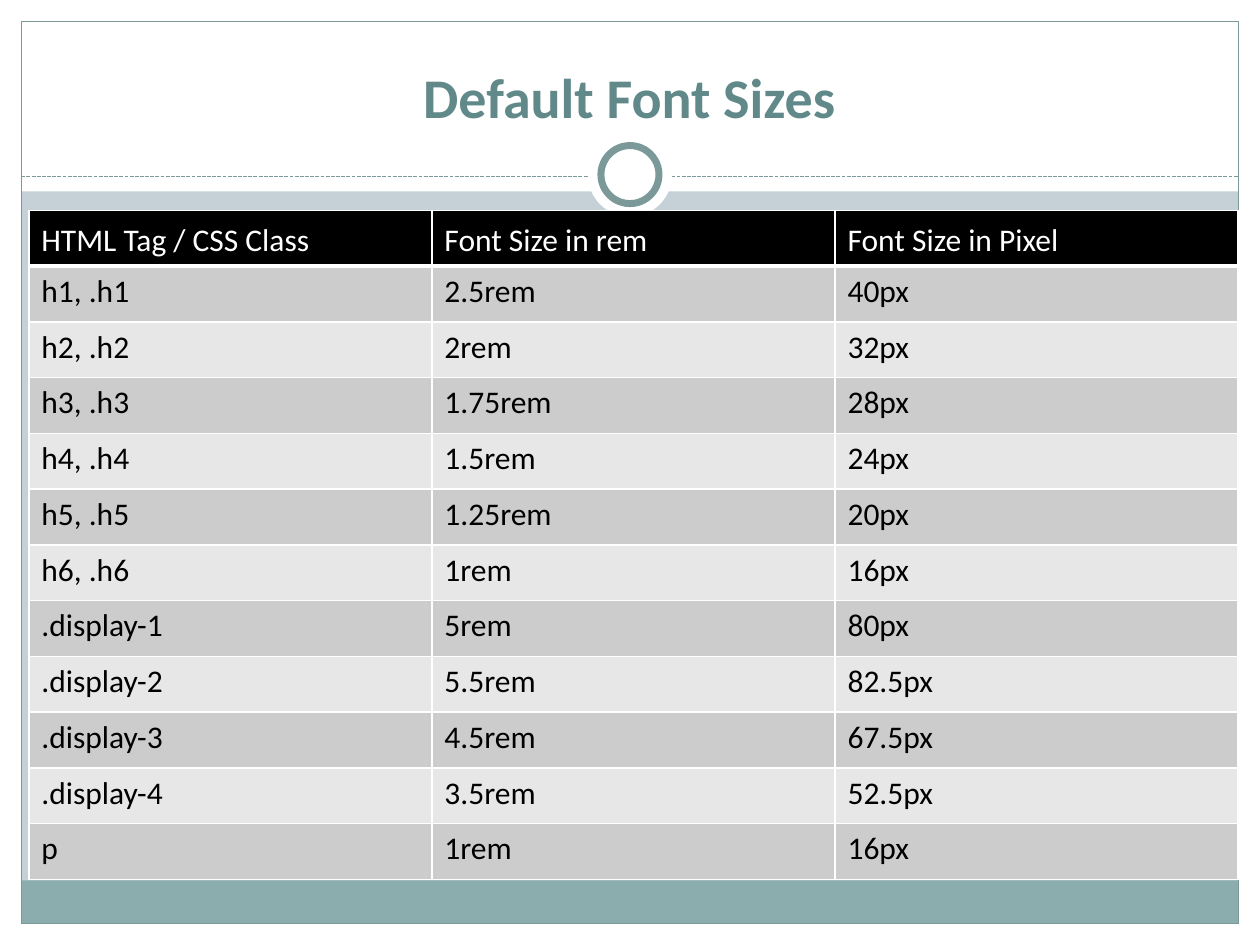
from dataclasses import dataclass

from lxml.etree import SubElement
from pptx import Presentation
from pptx.dml.color import RGBColor
from pptx.enum.dml import MSO_LINE
from pptx.enum.shapes import MSO_CONNECTOR, MSO_SHAPE
from pptx.enum.text import MSO_ANCHOR, PP_ALIGN
from pptx.oxml import parse_xml
from pptx.oxml.ns import nsdecls, qn
from pptx.util import Cm, Pt


@dataclass(frozen=True)
class Theme:
    font: str = "Calibri"
    title_size: int = 32
    cell_size: int = 18
    back: str = "C5D1D7"
    white: str = "FFFFFF"
    black: str = "000000"
    strip: str = "8CADAE"
    line: str = "7C999A"
    title: str = "61898A"
    bands: tuple = ("CCCCCC", "E7E7E7")


THEME = Theme()
WIDTH, HEIGHT = 25.4, 19.05
MARGIN = 0.43

ROWS = [
    ("HTML Tag / CSS Class", "Font Size in rem", "Font Size in Pixel"),
    ("h1, .h1", "2.5rem", "40px"),
    ("h2, .h2", "2rem", "32px"),
    ("h3, .h3", "1.75rem", "28px"),
    ("h4, .h4", "1.5rem", "24px"),
    ("h5, .h5", "1.25rem", "20px"),
    ("h6, .h6", "1rem", "16px"),
    (".display-1", "5rem", "80px"),
    (".display-2", "5.5rem", "82.5px"),
    (".display-3", "4.5rem", "67.5px"),
    (".display-4", "3.5rem", "52.5px"),
    ("p", "1rem", "16px"),
]


def rgb(value):
    return RGBColor.from_string(value)


def set_font(p, size, color, bold=False):
    p.font.name = THEME.font
    p.font.size = Pt(size)
    p.font.bold = bold
    p.font.color.rgb = rgb(color)


def add_shape(slide, kind, box, fill=None, line=None, weight=0.75):
    sp = slide.shapes.add_shape(kind, *map(Cm, box))
    sp.shadow.inherit = False
    if fill:
        sp.fill.solid()
        sp.fill.fore_color.rgb = rgb(fill)
    else:
        sp.fill.background()
    if line:
        sp.line.color.rgb = rgb(line)
        sp.line.width = Pt(weight)
    else:
        sp.line.fill.background()
    return sp


def add_frame(slide, x, y, w, h, header_height, strip_height):
    inner_w, bottom = w - 2 * MARGIN, y + h - MARGIN
    for box in (
        (x, bottom, w, MARGIN),
        (x, y, w, header_height),
        (x, y, MARGIN, h),
        (x + w - MARGIN, y, MARGIN, h),
    ):
        add_shape(slide, MSO_SHAPE.RECTANGLE, box, THEME.white)
    add_shape(slide, MSO_SHAPE.RECTANGLE,
              (x + MARGIN, bottom - strip_height, inner_w, strip_height), THEME.strip)
    add_shape(slide, MSO_SHAPE.RECTANGLE,
              (x + MARGIN, y + MARGIN, inner_w, h - 2 * MARGIN), line=THEME.line)


def add_divider(slide, x, y, w):
    rule = slide.shapes.add_connector(
        MSO_CONNECTOR.STRAIGHT, Cm(x), Cm(y), Cm(x + w), Cm(y))
    rule.line.color.rgb = rgb(THEME.line)
    rule.line.width = Pt(0.75)
    rule.line.dash_style = MSO_LINE.SQUARE_DOT
    SubElement(rule._element.spPr, qn("a:effectLst"))
    for size, line in ((1.7, None), (1.17, THEME.line)):
        box = (x + (w - size) / 2, y - 0.04 - size / 2, size, size)
        add_shape(slide, MSO_SHAPE.OVAL, box, THEME.white, line, 4)


def add_title(slide, x, y, w, h, text):
    tf = slide.shapes.add_textbox(*map(Cm, (x, y, w, h))).text_frame
    tf.word_wrap = True
    tf.vertical_anchor = MSO_ANCHOR.BOTTOM
    p = tf.paragraphs[0]
    p.text = text
    p.alignment = PP_ALIGN.CENTER
    set_font(p, THEME.title_size, THEME.title, bold=True)


def set_borders(cell, **weights):
    tc_pr = cell._tc.get_or_add_tcPr()
    for i, side in enumerate("LRTB"):
        width = Pt(weights.get(side, 1))
        tc_pr.insert(i, parse_xml(
            f'<a:ln{side} {nsdecls("a")} w="{width}"><a:solidFill>'
            f'<a:srgbClr val="{THEME.white}"/></a:solidFill></a:ln{side}>'))


def add_size_table(slide, x, y, w, h, rows):
    n_rows, n_cols = len(rows), len(rows[0])
    table = slide.shapes.add_table(n_rows, n_cols, *map(Cm, (x, y, w, h))).table
    for r, values in enumerate(rows):
        header = r == 0
        fill = THEME.black if header else THEME.bands[(r - 1) % 2]
        for c, value in enumerate(values):
            cell = table.cell(r, c)
            cell.text = value
            cell.vertical_anchor = MSO_ANCHOR.BOTTOM if header else MSO_ANCHOR.TOP
            cell.fill.solid()
            cell.fill.fore_color.rgb = rgb(fill)
            set_font(cell.text_frame.paragraphs[0], THEME.cell_size,
                     THEME.white if header else THEME.black)
            set_borders(cell, T=3 if r == 1 else 1, B=3 if header else 1)


def main():
    prs = Presentation()
    prs.slide_width, prs.slide_height = Cm(WIDTH), Cm(HEIGHT)
    slide = prs.slides.add_slide(prs.slide_layouts[6])
    slide.background.fill.solid()
    slide.background.fill.fore_color.rgb = rgb(THEME.back)
    add_frame(slide, 0, 0, WIDTH, HEIGHT, header_height=3.86, strip_height=0.87)
    add_divider(slide, MARGIN, 3.56, WIDTH - 2 * MARGIN)
    add_title(slide, 0.84, 0.64, 23.7, 2.1, "Default Font Sizes")
    add_size_table(slide, 0.58, 4.24, 24.38, 13.49, ROWS)
    prs.save("out.pptx")


if __name__ == "__main__":
    main()
